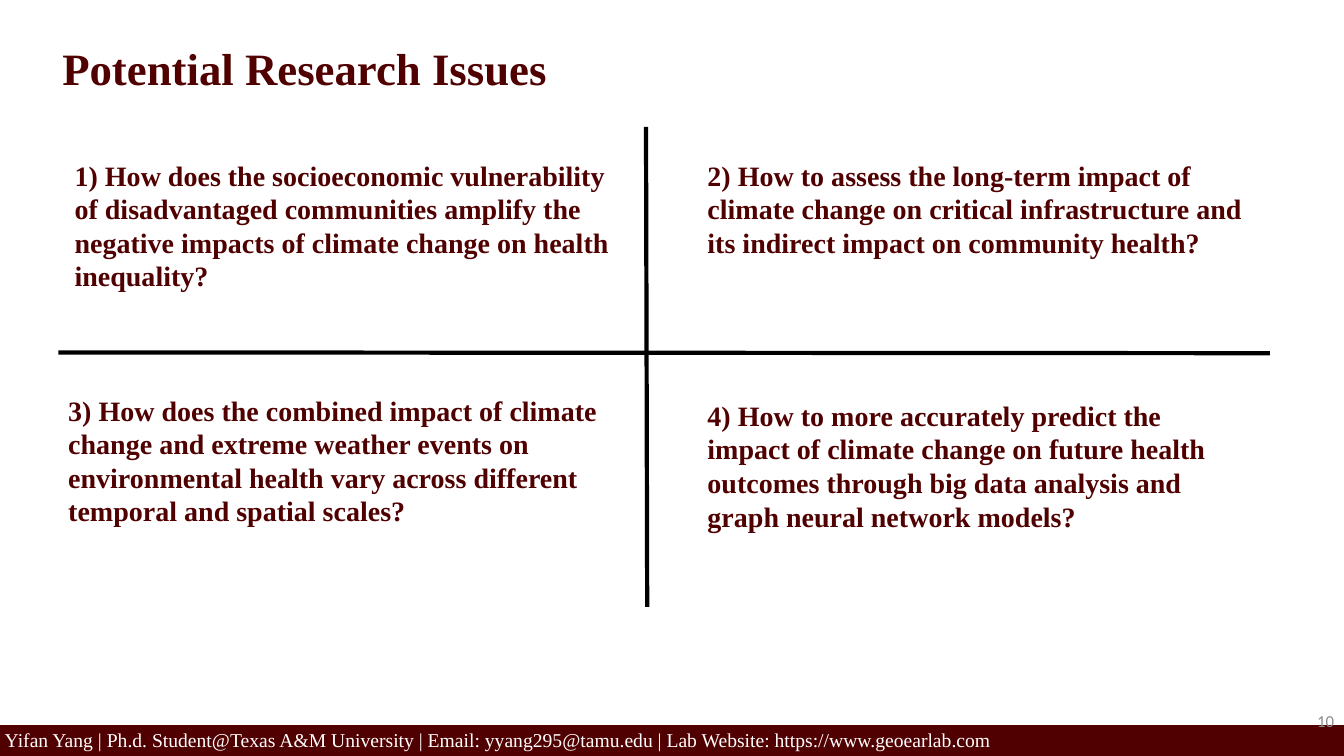
"""Build the slide of four research questions around a cross."""
from dataclasses import dataclass

from pptx import Presentation
from pptx import util as u
from pptx.dml import color
from pptx.enum import shapes, text
from pptx.oxml import xmlchemy


@dataclass(frozen=True)
class Theme:
    maroon: str = "500000"
    white: str = "FFFFFF"
    grey: str = "8C8C8C"
    black: str = "000000"
    serif: str = "Times New Roman"
    sans: str = "Calibri"
    title: int = 32
    question: int = 20
    footer: int = 14
    number: int = 12
    rule: int = 3


THEME = Theme()
WIDTH, HEIGHT = 33.87, 19.05
BAR_TOP = 18.29
QUESTION_SIZE = (14.12, 3.68)

QUESTIONS = [
    (1.63, 3.86, "1) How does the socioeconomic vulnerability of disadvantaged communities "
                 "amplify the negative impacts of climate change on health inequality?"),
    (17.58, 3.86, "2) How to assess the long-term impact of climate change on critical "
                  "infrastructure and its indirect impact on community health?"),
    (1.47, 9.78, "3) How does the combined impact of climate change and extreme weather events "
                 "on environmental health vary across different temporal and spatial scales?"),
    (17.58, 9.91, "4) How to more accurately predict the impact of climate change on future "
                  "health outcomes through big data analysis and graph neural network models?"),
]
CROSS = [(16.28, 3.2, 16.31, 15.29), (1.47, 8.88, 32, 8.9)]
FOOTER = ("Yifan Yang | Ph.d. Student@Texas A&M University | Email: yyang295@tamu.edu"
          " | Lab Website: https://www.geoearlab.com")


def lengths(*values):
    return [u.Cm(value) for value in values]


def add_text(page, area, words, size, ink, name=THEME.serif, bold=False,
             align=text.PP_ALIGN.LEFT, anchor=text.MSO_ANCHOR.TOP):
    box = page.shapes.add_textbox(*lengths(*area))
    box.text_frame.word_wrap = True
    box.text_frame.vertical_anchor = anchor
    para = box.text_frame.paragraphs[0]
    para.alignment = align
    span = para.add_run()
    span.text = words
    for key, value in {"name": name, "size": u.Pt(size), "bold": bold}.items():
        setattr(span.font, key, value)
    span.font.color.rgb = color.RGBColor.from_string(ink)


def add_bar(page):
    bar = page.shapes.add_shape(shapes.MSO_SHAPE.RECTANGLE,
                                *lengths(0, BAR_TOP, WIDTH, HEIGHT - BAR_TOP))
    bar.shadow.inherit = False
    bar.fill.solid()
    bar.line.width = u.Pt(1)
    for paint in (bar.fill.fore_color, bar.line.color):
        paint.rgb = color.RGBColor.from_string(THEME.maroon)


def add_rule(page, ends):
    rule = page.shapes.add_connector(shapes.MSO_CONNECTOR.STRAIGHT, *lengths(*ends))
    rule.line.width = u.Pt(THEME.rule)
    rule.line.color.rgb = color.RGBColor.from_string(THEME.black)
    rule._element.spPr.append(xmlchemy.OxmlElement("a:effectLst"))


def main():
    deck = Presentation()
    deck.slide_width, deck.slide_height = lengths(WIDTH, HEIGHT)
    page = deck.slides.add_slide(deck.slide_layouts[6])
    add_bar(page)
    add_text(page, (-0.13, 18.23, 32.72, 0.76), FOOTER, THEME.footer, THEME.white)
    add_text(page, (26.25, 17.65, 7.62, 1.02), "10", THEME.number, THEME.grey, THEME.sans,
             align=text.PP_ALIGN.RIGHT, anchor=text.MSO_ANCHOR.MIDDLE)
    add_text(page, (1.32, 0.89, 16.94, 1.63), "Potential Research Issues",
             THEME.title, THEME.maroon, bold=True)
    for left, top, words in QUESTIONS:
        add_text(page, (left, top, *QUESTION_SIZE), words,
                 THEME.question, THEME.maroon, bold=True)
    for ends in CROSS:
        add_rule(page, ends)
    deck.save("out.pptx")


if __name__ == "__main__":
    main()
